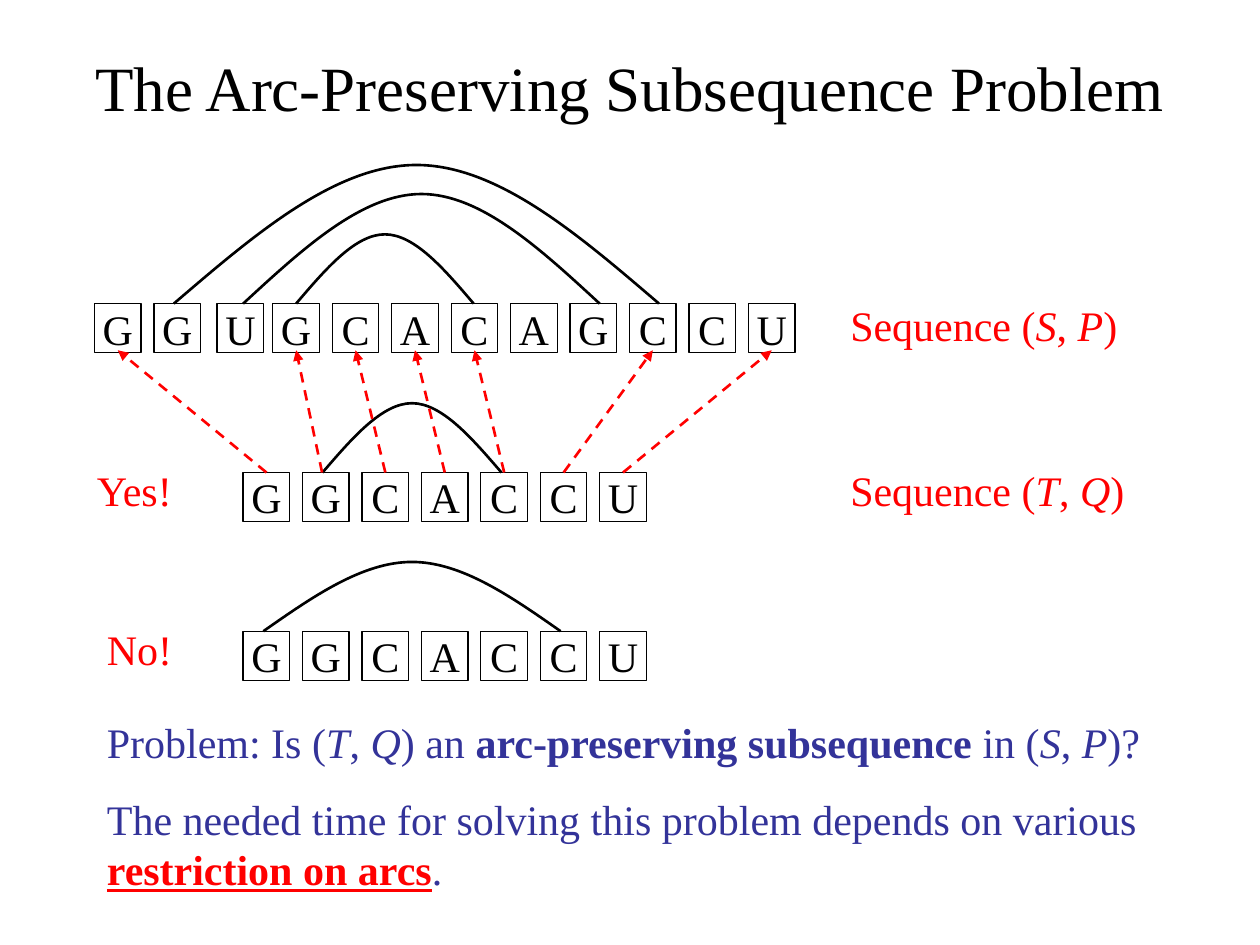
from pptx import Presentation
from pptx.dml.color import RGBColor
from pptx.enum.dml import MSO_LINE
from pptx.enum.shapes import MSO_CONNECTOR, MSO_SHAPE
from pptx.enum.text import MSO_ANCHOR, PP_ALIGN
from pptx.oxml.ns import qn
from pptx.util import Inches, Pt
from lxml.etree import SubElement

BLACK = RGBColor(0x00, 0x00, 0x00)
WHITE = RGBColor(0xFF, 0xFF, 0xFF)
RED = RGBColor(0xFF, 0x00, 0x00)
BLUE = RGBColor(0x33, 0x33, 0x99)


class Deck:
    font = "Times New Roman"
    box_w, box_h = 0.37, 0.39

    def __init__(self, prs):
        self.s = prs.slides.add_slide(prs.slide_layouts[6])

    def style(self, p, size, color):
        p.font.name = self.font
        p.font.size = Pt(size)
        p.font.color.rgb = color

    def text(self, x, y, w, h, paragraphs, color, size=24,
             align=PP_ALIGN.LEFT, anchor=MSO_ANCHOR.TOP):
        """Each paragraph is a list of (text, flags); flags: i, b, u, r (red)."""
        tf = self.s.shapes.add_textbox(
            Inches(x), Inches(y), Inches(w), Inches(h)).text_frame
        tf.word_wrap = True
        tf.vertical_anchor = anchor
        for n, runs in enumerate(paragraphs):
            p = tf.add_paragraph() if n else tf.paragraphs[0]
            p.alignment = align
            if n:
                p.space_before = Pt(15)
            self.style(p, size, color)
            for text, flags in runs:
                r = p.add_run()
                r.text = text
                if "i" in flags:
                    r.font.italic = True
                if "b" in flags:
                    r.font.bold = True
                if "u" in flags:
                    r.font.underline = True
                if "r" in flags:
                    r.font.color.rgb = RED

    def box(self, x, y, letter):
        sp = self.s.shapes.add_shape(
            MSO_SHAPE.RECTANGLE, Inches(x), Inches(y),
            Inches(self.box_w), Inches(self.box_h))
        sp.shadow.inherit = False
        sp.fill.solid()
        sp.fill.fore_color.rgb = WHITE
        sp.line.color.rgb = BLACK
        sp.line.width = Pt(0.75)
        tf = sp.text_frame
        tf.word_wrap = False
        tf.vertical_anchor = MSO_ANCHOR.MIDDLE
        p = tf.paragraphs[0]
        p.text = letter
        p.alignment = PP_ALIGN.CENTER
        self.style(p, 24, BLACK)

    def sequence(self, letters, lefts, y):
        for letter, x in zip(letters, lefts):
            self.box(x, y, letter)

    def arc(self, x1, x2, base, height):
        """Two Bezier halves that meet at a flat crown."""
        w, h = Inches(x2 - x1), Inches(height)
        left, bottom = Inches(x1), Inches(base)
        builder = self.s.shapes.build_freeform(left, bottom)
        builder.add_line_segments(
            [(left + w // 2, bottom - h), (left + w, bottom)], close=False)
        sp = builder.convert_to_shape()
        sp.shadow.inherit = False
        sp.fill.background()
        sp.line.color.rgb = BLACK
        sp.line.width = Pt(1.5)
        # Turn both straight segments into curves; x in sixths, y in halves
        halves = [[(1, 1), (2, 0), (3, 0)], [(4, 0), (5, 1), (6, 2)]]
        for segment, points in zip(list(sp._element.iter(qn("a:lnTo"))), halves):
            segment.getparent().remove(segment)
            path = next(sp._element.iter(qn("a:path")))
            curve = SubElement(path, qn("a:cubicBezTo"))
            for px, py in points:
                SubElement(curve, qn("a:pt"), x=str(w * px // 6), y=str(h * py // 2))

    def arrow(self, x1, y1, x2, y2):
        c = self.s.shapes.add_connector(
            MSO_CONNECTOR.STRAIGHT, Inches(x1), Inches(y1), Inches(x2), Inches(y2))
        c.line.color.rgb = RED
        c.line.width = Pt(1.5)
        c.line.dash_style = MSO_LINE.DASH
        props = c._element.spPr
        SubElement(props.find(qn("a:ln")), qn("a:tailEnd"), type="triangle")
        SubElement(props, qn("a:effectLst"))


def spread(first, last, count):
    return [first + (last - first) * n / (count - 1) for n in range(count)]


def pair(a, b):
    return [(a, "i"), (",", ""), (" " + b, "i")]


def main():
    prs = Presentation()
    prs.slide_width, prs.slide_height = Inches(10), Inches(7.5)
    deck = Deck(prs)

    # Title
    deck.text(0.5, 0.3, 9, 0.77, [[("The Arc-Preserving Subsequence Problem", "")]],
              BLACK, 36, PP_ALIGN.CENTER, MSO_ANCHOR.MIDDLE)

    # Sequences: S on top, T below it twice
    s_y, yes_y, no_y = 2.41, 3.75, 5.01
    s_lefts = spread(0.75, 5.94, 12)
    s_lefts[2] += 0.03
    t_lefts = spread(1.93, 4.76, 7)
    deck.sequence("GGUGCACAGCCU", s_lefts, s_y)
    for y in (yes_y, no_y):
        deck.sequence("GGCACCU", t_lefts, y)

    # Arcs
    for x1, x2, base, height in [
        (2.35, 3.76, s_y, 0.55),
        (1.38, 5.23, s_y, 1.1),
        (1.93, 4.76, s_y, 0.87),
        (2.56, 3.98, yes_y, 0.55),
        (2.09, 4.45, no_y, 0.55),
    ]:
        deck.arc(x1, x2, base, height)

    # Arrows from each letter of T to its match in S
    starts = [x + deck.box_w / 2 for x in t_lefts]
    starts[1] -= 0.03
    for start, match in zip(starts, (0, 3, 4, 5, 6, 9, 11)):
        deck.arrow(start, yes_y, s_lefts[match] + deck.box_w / 2, 2.78)

    # Labels
    for x, y, w, runs in [
        (6.65, 2.33, 2.36, [("Sequence (", ""), *pair("S", "P"), (")", "")]),
        (6.65, 3.64, 2.52, [("Sequence (", ""), *pair("T", "Q"), (")", "")]),
        (0.67, 3.64, 0.87, [("Yes!", "")]),
        (0.75, 4.9, 0.79, [("No!", "")]),
    ]:
        deck.text(x, y, w, 0.5, [runs], RED)

    # Problem statement
    deck.text(0.75, 5.64, 8.51, 1.51, [
        [("Problem: Is (", ""), *pair("T", "Q"), (") an ", ""),
         ("arc-preserving subsequence", "b"), (" in (", ""),
         *pair("S", "P"), (")?", "")],
        [("The needed time for solving this problem depends on various ", ""),
         ("restriction on arcs", "bur"), (".", "")],
    ], BLUE)

    prs.save("out.pptx")


if __name__ == "__main__":
    main()
